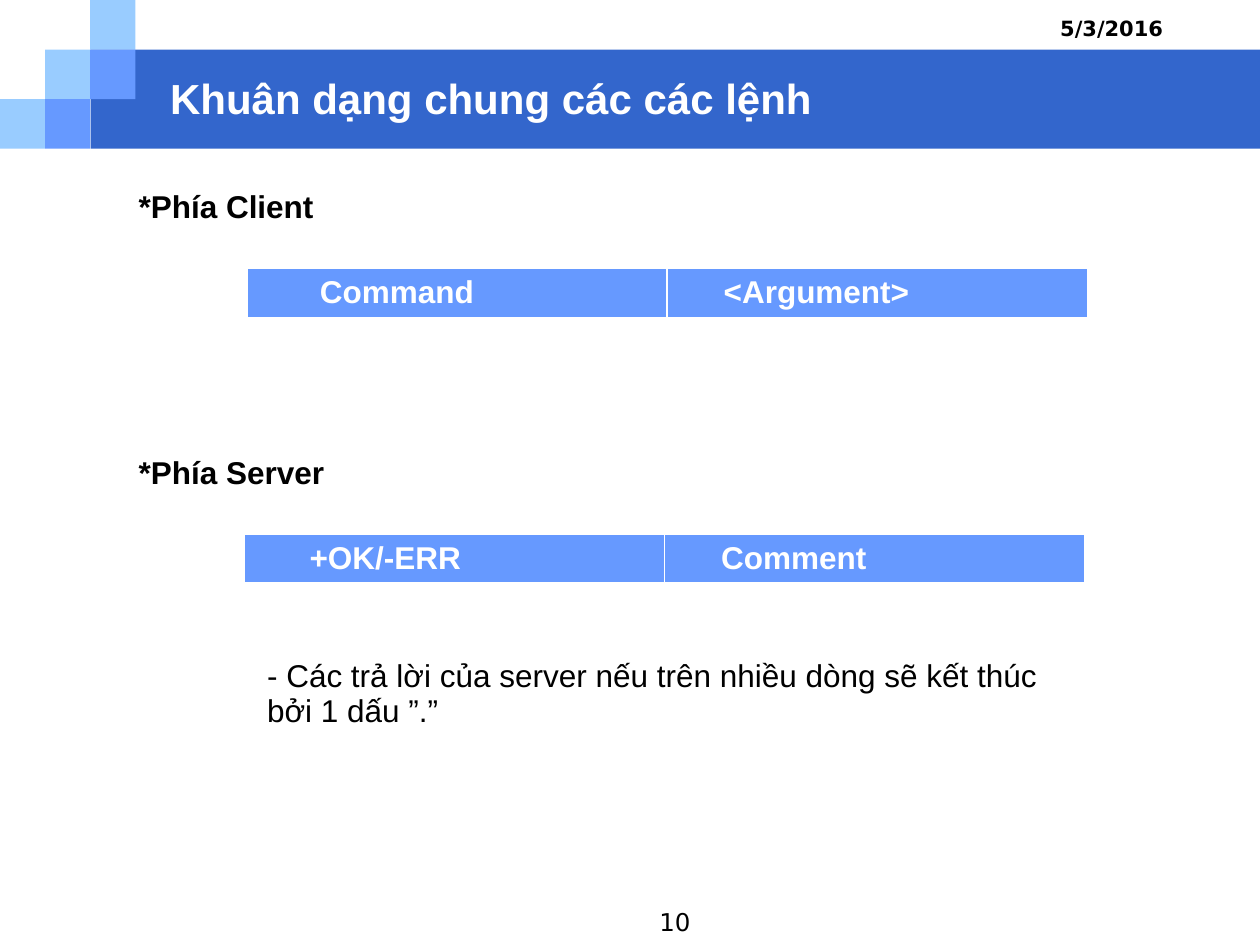
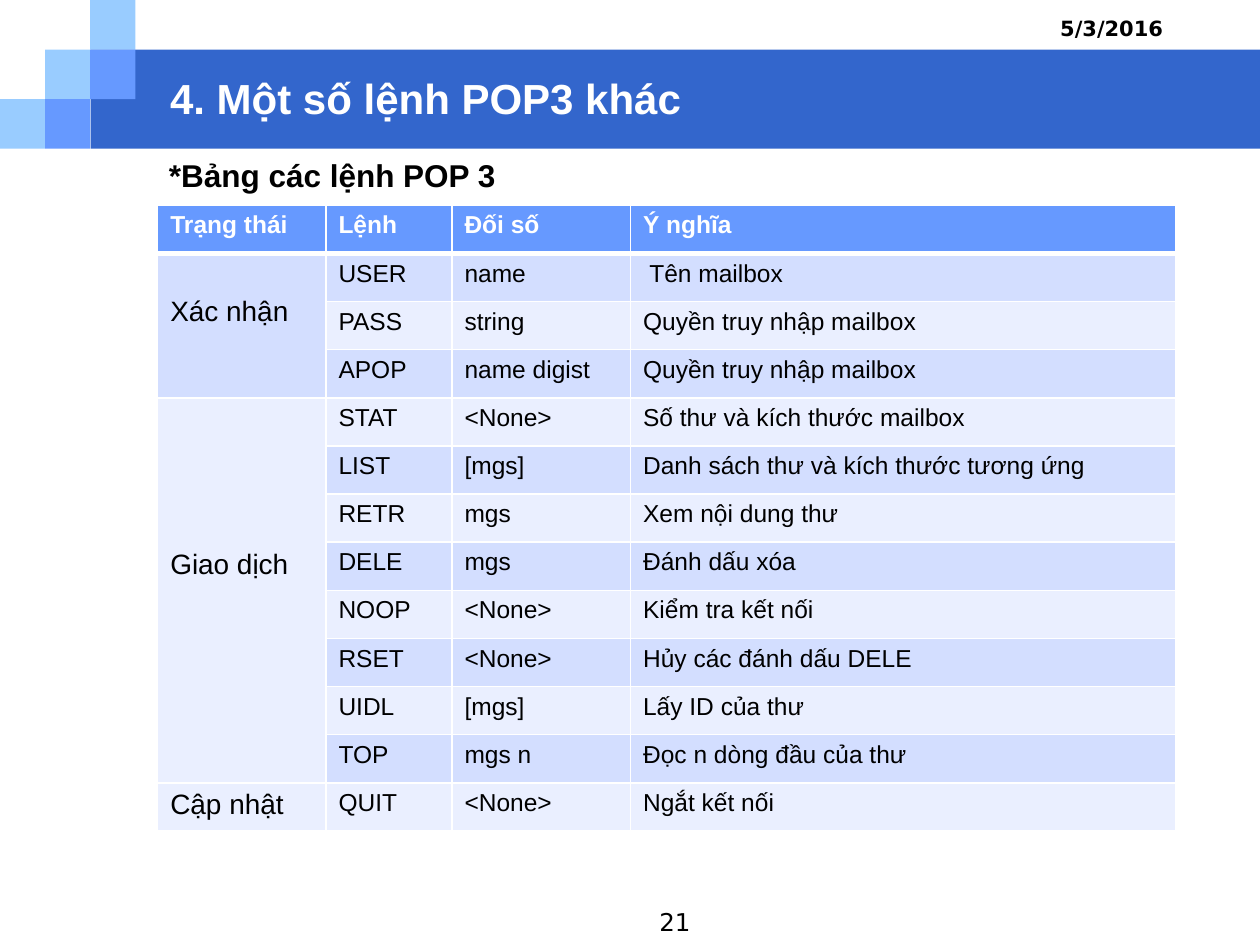
"""Two slides on POP3: the general command format and the table of commands."""
from pptx import Presentation
from pptx.dml.color import RGBColor
from pptx.enum.shapes import MSO_SHAPE
from pptx.enum.text import MSO_ANCHOR, PP_ALIGN as Align
from pptx.oxml.ns import qn
from pptx.util import Cm, Pt
from lxml.etree import SubElement

WHITE = RGBColor(0xFF, 0xFF, 0xFF)
BLACK = RGBColor(0x00, 0x00, 0x00)
BAND_BLUE = RGBColor(0x33, 0x66, 0xCC)
MID_BLUE = RGBColor(0x66, 0x99, 0xFF)
LIGHT_BLUE = RGBColor(0x99, 0xCC, 0xFF)
ODD_ROW = RGBColor(0xD3, 0xDE, 0xFF)
EVEN_ROW = RGBColor(0xEA, 0xEF, 0xFF)

SLIDE_WIDTH = 25.4
TILE_WIDTH, TILE_HEIGHT = 0.91, 1.0
BAND_LEFT = 1.83


def write(frame, text, size, color, bold=False, align=Align.LEFT, font="Arial"):
    frame.text = text
    frame.word_wrap = True
    paragraph = frame.paragraphs[0]
    paragraph.alignment = align
    for run in paragraph.runs:
        run.font.name = font
        run.font.size = Pt(size)
        run.font.bold = bold
        run.font.color.rgb = color


def add_grid(slide, left, top, widths, row_height, rows, size, color, fill, bold=True, align=Align.LEFT):
    grid = slide.shapes.add_table(
        len(rows), len(widths), Cm(left), Cm(top), Cm(sum(widths)), Cm(row_height * len(rows))
    ).table
    for column, width in zip(grid.columns, widths):
        column.width = Cm(width)
    for r, row in enumerate(rows):
        grid.rows[r].height = Cm(row_height)
        for c, text in enumerate(row):
            cell = grid.cell(r, c)
            write(cell.text_frame, text, size, color, bold, align)
            properties = cell._tc.get_or_add_tcPr()
            for side in ("L", "R", "T", "B"):
                thickness = 3 if side == "B" and r == 0 else 1
                line = SubElement(properties, qn(f"a:ln{side}"), w=str(Pt(thickness)))
                line_fill = SubElement(line, qn("a:solidFill"))
                SubElement(line_fill, qn("a:srgbClr"), val=str(WHITE))
            cell.fill.solid()
            cell.fill.fore_color.rgb = fill
    return grid


deck = Presentation()
deck.slide_width = Cm(SLIDE_WIDTH)
deck.slide_height = Cm(19.05)

header_blocks = [(BAND_LEFT, TILE_HEIGHT, SLIDE_WIDTH - BAND_LEFT, 2 * TILE_HEIGHT, BAND_BLUE)]
for column, row, color in (
    (0, 2, LIGHT_BLUE), (1, 1, LIGHT_BLUE), (2, 0, LIGHT_BLUE), (2, 1, MID_BLUE), (1, 2, MID_BLUE),
):
    header_blocks.append((column * TILE_WIDTH, row * TILE_HEIGHT, TILE_WIDTH, TILE_HEIGHT, color))

for title, number in (("Khuân dạng chung các các lệnh", "10"), ("4. Một số lệnh POP3 khác", "21")):
    slide = deck.slides.add_slide(deck.slide_layouts[6])
    for left, top, width, height, color in header_blocks:
        block = slide.shapes.add_shape(MSO_SHAPE.RECTANGLE, Cm(left), Cm(top), Cm(width), Cm(height))
        block.shadow.inherit = False
        block.fill.solid()
        block.fill.fore_color.rgb = color
        block.line.fill.background()
    heading = slide.shapes.add_textbox(Cm(3.18), Cm(1.3), Cm(20.52), Cm(1.35)).text_frame
    write(heading, title, 24, WHITE, bold=True)
    heading.vertical_anchor = MSO_ANCHOR.MIDDLE
    date = slide.shapes.add_textbox(Cm(16.51), Cm(0.18), Cm(7.19), Cm(0.66)).text_frame
    write(date, "5/3/2016", 12, BLACK, bold=True, align=Align.RIGHT, font="DejaVu Sans")
    page = slide.shapes.add_textbox(Cm(8.25), Cm(18.16), Cm(5.92), Cm(0.89)).text_frame
    write(page, number, 14, BLACK, align=Align.RIGHT, font="DejaVu Sans")

format_slide, commands_slide = deck.slides

for side_name, label_top, format_left, format_top, parts, indents in (
    ("*Phía Client", 3.71, 4.98, 5.41, ("Command", "<Argument>"), (1.47, 1.14)),
    ("*Phía Server", 9.07, 4.93, 10.77, ("+OK/-ERR", "Comment"), (1.31, 1.14)),
):
    message = add_grid(format_slide, format_left, format_top, (8.47, 8.47), 1.0, [parts],
                       18, WHITE, MID_BLUE, align=Align.JUSTIFY)
    for c, indent in enumerate(indents):
        message.cell(0, c).margin_left = Cm(indent)
    add_grid(format_slide, 2.54, label_top, (9.32,), 1.09, [(side_name,)], 18, BLACK, WHITE)

reply_note = "- Các trả lời của server nếu trên nhiều dòng sẽ kết thúc bởi 1 dấu ”.”"
add_grid(format_slide, 5.13, 13.16, (16.94,), 1.78, [(reply_note,)], 18, BLACK, WHITE, bold=False)

command_rows = [
    ("Trạng thái", "Lệnh", "Đối số", "Ý nghĩa"),
    ("Xác nhận", "USER", "name", "Tên mailbox"),
    ("", "PASS", "string", "Quyền truy nhập mailbox"),
    ("", "APOP", "name digist", "Quyền truy nhập mailbox"),
    ("Giao dịch", "STAT", "<None>", "Số thư và kích thước mailbox"),
    ("", "LIST", "[mgs]", "Danh sách thư và kích thước tương ứng"),
    ("", "RETR", "mgs", "Xem nội dung thư"),
    ("", "DELE", "mgs", "Đánh dấu xóa"),
    ("", "NOOP", "<None>", "Kiểm tra kết nối"),
    ("", "RSET", "<None>", "Hủy các đánh dấu DELE"),
    ("", "UIDL", "[mgs]", "Lấy ID của thư"),
    ("", "TOP", "mgs n", "Đọc n dòng đầu của thư"),
    ("Cập nhật", "QUIT", "<None>", "Ngắt kết nối"),
]
commands = add_grid(commands_slide, 3.18, 4.14, (3.39, 2.54, 3.6, 11.0), 0.97, command_rows,
                    14, BLACK, EVEN_ROW, bold=False, align=Align.JUSTIFY)
for c, heading in enumerate(command_rows[0]):
    header_cell = commands.cell(0, c)
    header_cell.fill.fore_color.rgb = MID_BLUE
    write(header_cell.text_frame, heading, 14, WHITE, bold=True, align=Align.JUSTIFY)
for r in range(1, len(command_rows), 2):
    for c in range(4):
        commands.cell(r, c).fill.fore_color.rgb = ODD_ROW
for first, last, text_offset in ((1, 3, 0.86), (4, 11, 3.05), (12, 12, 0.13)):
    state = commands.cell(first, 0)
    state.margin_top = Cm(text_offset)
    write(state.text_frame, command_rows[first][0], 16, BLACK, align=Align.JUSTIFY)
    if last > first:
        state.merge(commands.cell(last, 0))
commands.cell(1, 3).margin_left = Cm(0.38)

add_grid(commands_slide, 3.15, 3.07, (16.94,), 1.04, [("*Bảng các lệnh POP 3",)], 18, BLACK, WHITE)

deck.save("out.pptx")
